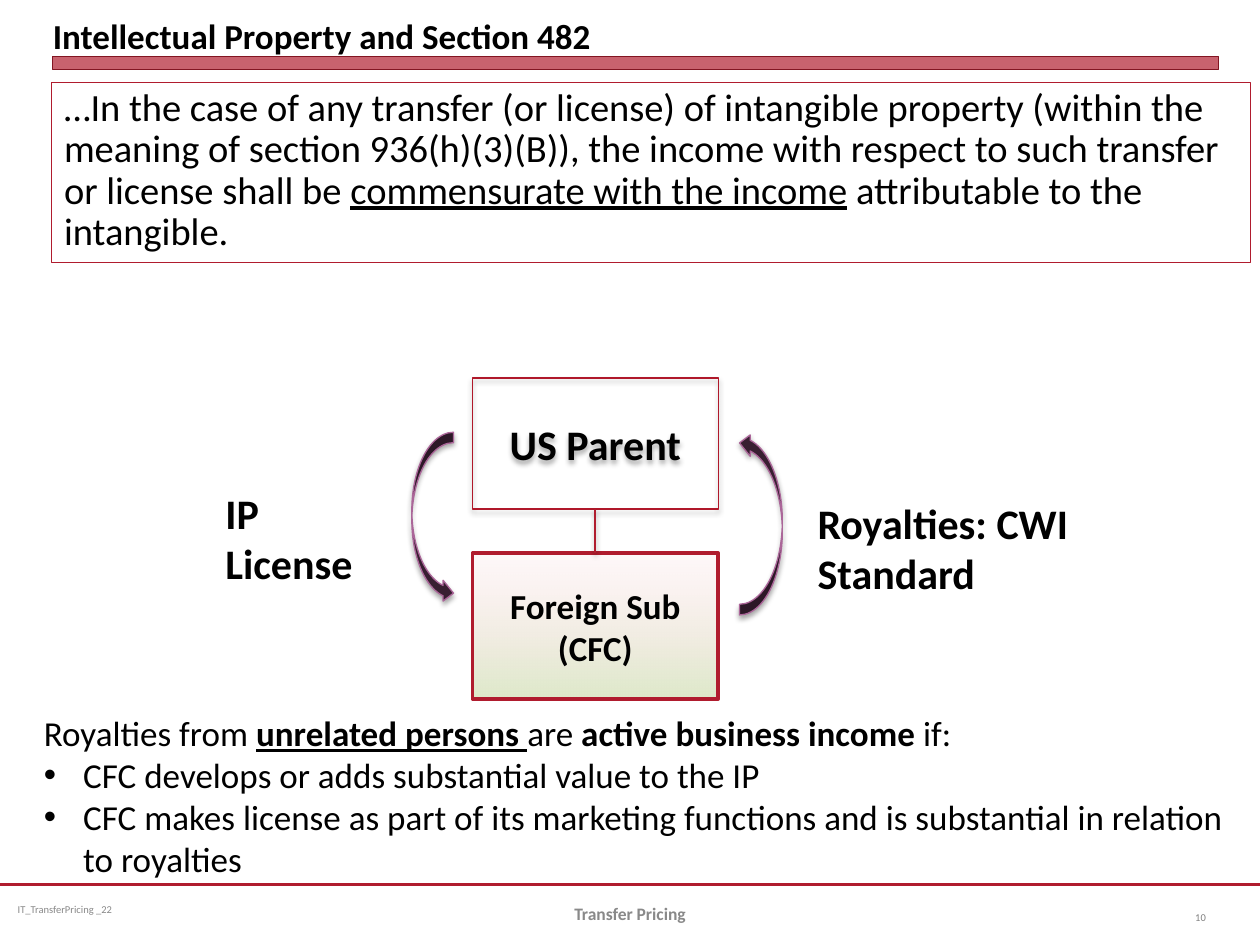
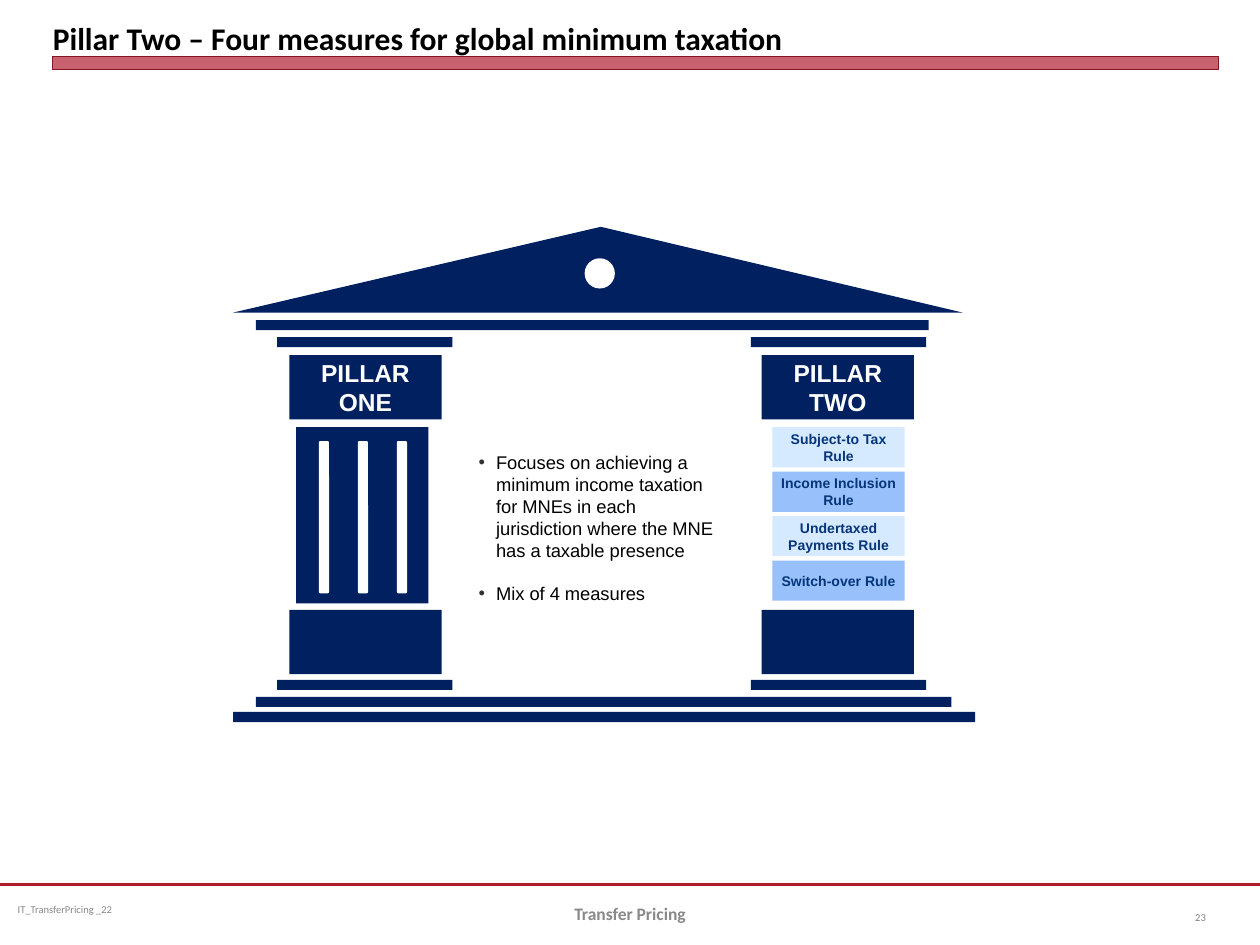
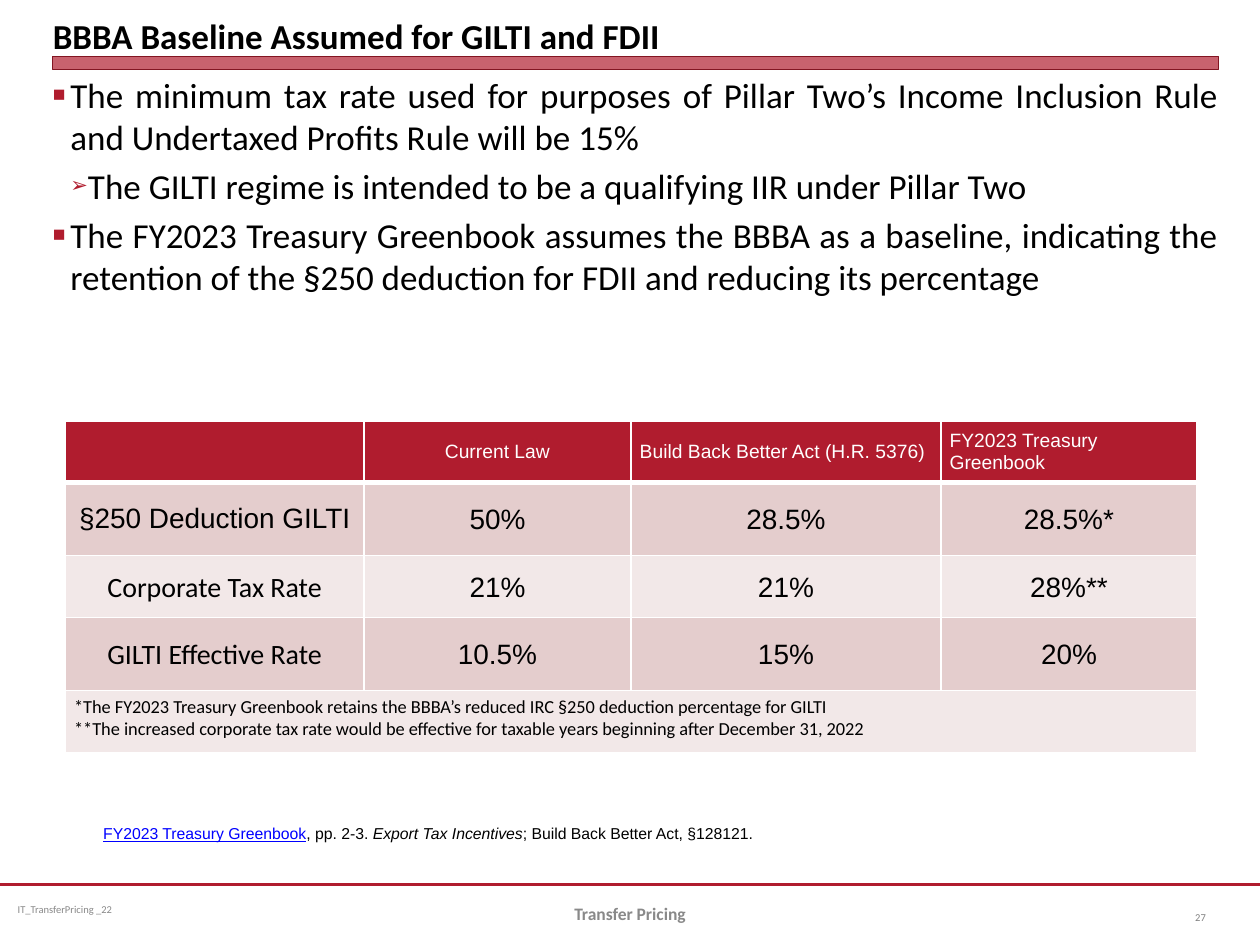
import dataclasses

import lxml.etree
import pptx
import pptx.dml.color
import pptx.enum.shapes
import pptx.enum.text
import pptx.oxml.ns
import pptx.util

SHAPE = pptx.enum.shapes.MSO_SHAPE
ALIGN = pptx.enum.text.PP_ALIGN
ANCHOR = pptx.enum.text.MSO_ANCHOR
LEFT, MID, RIGHT, FULL = ALIGN.LEFT, ALIGN.CENTER, ALIGN.RIGHT, ALIGN.JUSTIFY


@dataclasses.dataclass(frozen=True)
class Type:
    face: str
    size: float
    color: str = "000000"
    marks: str = ""  # b bold, i italic, u underline


@dataclasses.dataclass(frozen=True)
class Bullet:
    sign: str
    left: float
    hang: float
    color: str = ""
    scale: int = 100
    level: int = 0


@dataclasses.dataclass(frozen=True)
class Theme:
    # Colours
    red: str = "B01C2E"
    edge: str = "821522"
    frame: str = "B0182A"
    plum: str = "381F31"
    mauve: str = "AB6699"
    green: str = "DEE9C9"
    pink: str = "FADDE0"
    navy: str = "002060"
    white: str = "FFFFFF"
    rules: tuple = ("D6EAFF", "98C0FA")
    rows: tuple = ("E4CDCD", "F2E8E8")
    # Type
    title: Type = Type("Calibri", 20, marks="b")
    long: Type = Type("Calibri", 18, marks="b")
    body: Type = Type("Calibri", 20)
    quote: Type = Type("Calibri", 22)
    label: Type = Type("Calibri", 24, marks="b")
    code: Type = Type("Calibri", 6, "898989")
    foot: Type = Type("Calibri", 10, "898989", "b")
    page: Type = Type("Calibri", 6, "808080")
    pillar: Type = Type("Arial", 14, "FFFFFF", "b")
    rule: Type = Type("Arial", 8, "06357A", "b")
    point: Type = Type("Arial", 10.5)
    head: Type = Type("Arial", 11, "FFFFFF")
    value: Type = Type("Arial", 16)
    name: Type = Type("Calibri", 16)
    note: Type = Type("Calibri", 10.5)
    source: Type = Type("Arial", 9)
    link: str = "0000FF"
    # Bullets
    dot: Bullet = Bullet("•", 22.5, 22.5)
    small: Bullet = Bullet("•", 10, 10, "333333")
    square: Bullet = Bullet("■", 10, 10, "B01C2E", 60)
    arrow: Bullet = Bullet("➢", 20, 10, "B01C2E", 60, 1)


THEME = Theme()


# XML helpers
def tag(name):
    return pptx.oxml.ns.qn("a:" + name)


def sub(node, name, **attrs):
    return lxml.etree.SubElement(node, tag(name), **attrs)


def fade(node, percent):
    sub(node, "alpha", val=str(percent * 1000))


def shade(shape, percent=0, blur=3.1, drop=1.8):
    """Replace the theme shadow by a soft one below, or by none."""
    props = shape._element.spPr
    effect = props.find(tag("effectLst"))
    if effect is None:
        effect = sub(props, "effectLst")
    if percent:
        outer = sub(effect, "outerShdw", blurRad=str(pptx.util.Pt(blur)),
                    dist=str(pptx.util.Pt(drop)), dir="5400000", rotWithShape="0")
        fade(sub(outer, "srgbClr", val="000000"), percent)


# Basic helpers
def rgb(color):
    return pptx.dml.color.RGBColor.from_string(color)


def place(at):
    return [pptx.util.Pt(length) for length in at]


def stroke(shape, color, width):
    shape.line.color.rgb = rgb(color)
    shape.line.width = pptx.util.Pt(width)


def mark(para, bullet):
    props = para._p.get_or_add_pPr()
    props.set("marL", str(pptx.util.Pt(bullet.left)))
    props.set("indent", str(-pptx.util.Pt(bullet.hang)))
    para.level = bullet.level
    if bullet.color:
        sub(sub(props, "buClr"), "srgbClr", val=bullet.color)
    sub(props, "buSzPct", val=str(bullet.scale * 1000))
    sub(props, "buFont", typeface="Arial")
    sub(props, "buChar", char=bullet.sign)


def write(frame, paras, style, align=LEFT, bullets=(), gap=0, space=None):
    """Each paragraph is a string or a list of (text, marks, colour) runs."""
    for row, runs in enumerate(paras):
        para = frame.add_paragraph() if row else frame.paragraphs[0]
        if bullets and bullets[row]:
            mark(para, bullets[row])
        para.alignment = align
        para.space_before = pptx.util.Pt(gap if row else 0)
        if space:
            para.line_spacing = space
        if isinstance(runs, str):
            runs = [(runs, style.marks, style.color)]
        for text, marks, color in runs:
            run = para.add_run()
            run.text = text
            font = run.font
            font.name, font.size = style.face, pptx.util.Pt(style.size)
            font.color.rgb = rgb(color)
            font.bold, font.italic = "b" in marks, "i" in marks
            font.underline = "u" in marks


def pad(item, across, down):
    item.margin_left = item.margin_right = pptx.util.Pt(across)
    item.margin_top = item.margin_bottom = pptx.util.Pt(down)


def fit(frame, anchor, across, down):
    frame.word_wrap = True
    frame.auto_size = pptx.enum.text.MSO_AUTO_SIZE.NONE
    frame.vertical_anchor = anchor
    pad(frame, across, down)
    return frame


def note(slide, at, paras, style, anchor=ANCHOR.TOP, across=7.2, down=3.6, **look):
    shape = slide.shapes.add_textbox(*place(at))
    write(fit(shape.text_frame, anchor, across, down), paras, style, **look)


def block(slide, at, fill=None, kind=SHAPE.RECTANGLE, line=None, paras=(),
          style=None, anchor=ANCHOR.MIDDLE, across=7.2, down=3.6, **look):
    shape = slide.shapes.add_shape(kind, *place(at))
    shape.shadow.inherit = False
    if fill:
        shape.fill.solid()
        shape.fill.fore_color.rgb = rgb(fill)
    else:
        shape.fill.background()
    if line:
        stroke(shape, *line)
    else:
        shape.line.fill.background()
    if paras:
        write(fit(shape.text_frame, anchor, across, down), paras, style, **look)
    return shape


def link(slide, ends, color, width):
    line = slide.shapes.add_connector(
        pptx.enum.shapes.MSO_CONNECTOR.STRAIGHT, *place(ends))
    stroke(line, color, width)
    return line


def start(deck, title, page, style=THEME.title):
    """Add a slide with its title, band and footer."""
    slide = deck.slides.add_slide(deck.slide_layouts[5])
    shade(link(slide, (0, 505.5, 720, 505.5), THEME.red, 1.25))
    note(slide, (5.8, 505.5, 186, 28.8), ["IT_TransferPricing _22"], THEME.code,
         ANCHOR.MIDDLE, 4.3, 2.2)
    band = block(slide, (30.2, 32.4, 666, 7.2), THEME.red, line=(THEME.edge, 0))
    fade(band._element.spPr.find(tag("solidFill")).find(tag("srgbClr")), 69)
    head = slide.shapes.title
    head.left, head.top, head.width, head.height = place((30.2, 3.6, 666, 28.8))
    write(fit(head.text_frame, ANCHOR.BOTTOM, 0, 0), [title], style)
    note(slide, (246, 507.6, 228, 28.8), ["Transfer Pricing"], THEME.foot,
         ANCHOR.MIDDLE, align=MID)
    note(slide, (660.2, 509.8, 36, 28.8), [page], THEME.page, ANCHOR.MIDDLE,
         align=RIGHT)
    return slide


# Slide on section 482
def bend(slide, at, flip):
    arrow = block(slide, at, THEME.plum, SHAPE.CURVED_LEFT_ARROW,
                  (THEME.mauve, 0.75))
    arrow._element.spPr.find(tag("xfrm")).set(flip, "1")
    shade(arrow, 35)


def draw_license(deck):
    slide = start(deck, "Intellectual Property and Section 482", "10")
    black = THEME.body.color
    block(slide, (29.5, 46.8, 684.7, 103), line=(THEME.red, 0.25), paras=[[
        ("…In the case of any transfer (or license) of intangible property (within "
         "the meaning of section 936(h)(3)(B)), the income with respect to such "
         "transfer or license shall be ", "", black),
        ("commensurate with the income", "u", black),
        (" attributable to the intangible.", "", black)]],
        style=THEME.quote, anchor=ANCHOR.TOP, space=0.9)

    # Parent and subsidiary
    parent = block(slide, (270, 216, 140.4, 74.9), line=(THEME.frame, 0.75),
                   paras=["US Parent"], style=THEME.label, align=MID)
    shade(parent, 35)
    child = block(slide, (270, 316.1, 140.4, 83.5), line=(THEME.red, 2),
                  paras=["Foreign Sub", "(CFC)"], style=THEME.title, align=MID)
    child.fill.gradient()
    child.fill.gradient_angle = 90
    for stop, color in zip(child.fill.gradient_stops, (THEME.green, THEME.pink)):
        stop.color.rgb = rgb(color)
    grad = child._element.spPr.find(tag("gradFill"))
    fade(list(grad.iter(tag("srgbClr")))[1], 19)
    tie = link(slide, (340.2, 290.9, 340.2, 316.1), THEME.red, 1)
    tie.begin_connect(parent, 2)
    tie.end_connect(child, 0)
    shade(tie, 38, drop=1.6)

    # Flows
    bend(slide, (235.4, 247, 23.8, 97.9), "flipH")
    bend(slide, (422.6, 247, 24.5, 104.4), "flipV")
    note(slide, (121.7, 275, 87.8, 28.8), ["IP License"], THEME.label)
    note(slide, (460.1, 280.8, 203, 28.8), ["Royalties: CWI Standard"], THEME.label)

    note(slide, (18, 403.2, 695.5, 104.4), [
        [("Royalties from ", "", black), ("unrelated persons ", "bu", black),
         ("are ", "", black), ("active business income ", "b", black),
         ("if:", "", black)],
        "CFC develops or adds substantial value to the IP",
        "CFC makes license as part of its marketing functions and is substantial "
        "in relation to royalties"],
        THEME.body, bullets=(None, THEME.dot, THEME.dot))


# Slide on the pillars
def draw_temple(deck):
    slide = start(deck, "Pillar Two – Four measures for global minimum taxation",
                  "23", THEME.long)
    navy, white, thin = THEME.navy, THEME.white, 5.8
    block(slide, (266.4, 250.6, 149, 100.8), white, SHAPE.ROUNDED_RECTANGLE, paras=[
        "Focuses on achieving a minimum income taxation for MNEs in each "
        "jurisdiction where the MNE has a taxable presence",
        "Mix of 4 measures"], style=THEME.point, anchor=ANCHOR.TOP,
        across=2.2, down=2.2, bullets=(THEME.small,) * 2, gap=12)

    # Roof and steps
    roof = block(slide, (133.2, 129.6, 416.9, 49), navy, SHAPE.ISOSCELES_TRIANGLE)
    roof.adjustments[0] = 0.504
    block(slide, (334.1, 147.6, 17.3, 17.3), white, SHAPE.OVAL)
    for left, top, width in ((146.2, 182.9, 384.5), (146.2, 398.2, 397.4),
                             (133.2, 406.8, 424.1)):
        block(slide, (left, top, width, thin), navy)

    # Caps, name blocks and bases
    for text, cap, left in (("PILLAR ONE", 158.4, 165.3),
                            ("PILLAR TWO", 429.1, 435.2)):
        for top in (192.6, 388.5):
            block(slide, (cap, top, 100.1, thin), navy)
        block(slide, (left, 203, 87.1, 36.7), navy, paras=[text],
              style=THEME.pillar, align=MID, across=4.3, down=4.3)
        block(slide, (left, 348.5, 87.1, 36.7), navy)

    # Fluted shaft
    block(slide, (169.2, 244.1, 75.6, 100.8), navy)
    for step in range(3):
        block(slide, (182.2 + 22.3 * step, 252, thin, 87.1), white,
              SHAPE.ROUNDED_RECTANGLE)

    # Shaft of rules
    for step, text in enumerate(("Subject-to Tax Rule", "Income Inclusion Rule",
                                 "Undertaxed Payments Rule", "Switch-over Rule")):
        block(slide, (441.4, 244.1 + 25.4 * step, 75.6, 23), THEME.rules[step % 2],
              paras=[text], style=THEME.rule, align=MID, across=4.3, down=4.3)


# Slide on the baseline
def paint(cell, fill, base=1):
    props = cell._tc.get_or_add_tcPr()
    for side, width in (("lnL", 1), ("lnR", 1), ("lnT", 1), ("lnB", base)):
        line = sub(props, side, w=str(pptx.util.Pt(width)))
        sub(sub(line, "solidFill"), "srgbClr", val=THEME.white)
    cell.fill.solid()
    cell.fill.fore_color.rgb = rgb(fill)


def draw_rates(slide):
    heads = ("", "Current Law", "Build Back Better Act (H.R. 5376)",
             "FY2023 Treasury Greenbook")
    rates = (("§250 Deduction GILTI", "50%", "28.5%", "28.5%*"),
             ("Corporate Tax Rate", "21%", "21%", "28%**"),
             ("GILTI Effective Rate", "10.5%", "15%", "20%"))
    widths = (170.6, 152.6, 177.1, 146.4)
    heights = (35.3, 41.8, 35.3, 41.8, 35.3)
    table = slide.shapes.add_table(
        len(heights), len(widths),
        *place((37.4, 240.5, sum(widths), sum(heights)))).table
    table.first_row = table.horz_banding = False
    for column, width in zip(table.columns, widths):
        column.width = pptx.util.Pt(width)
    for row, height in zip(table.rows, heights):
        row.height = pptx.util.Pt(height)

    # Header
    for col, text in enumerate(heads):
        cell = table.cell(0, col)
        paint(cell, THEME.red, 3)
        pad(cell, 5, 2.9)
        cell.vertical_anchor = ANCHOR.MIDDLE
        if text:
            write(cell.text_frame, [text], THEME.head, MID if col == 1 else LEFT)

    # Rates
    for row, texts in enumerate(rates):
        for col, text in enumerate(texts):
            cell = table.cell(row + 1, col)
            paint(cell, THEME.rows[row % 2])
            pad(cell, 4.3, 0)
            cell.vertical_anchor = ANCHOR.MIDDLE
            first = row == col == 0
            write(cell.text_frame, [text],
                  THEME.value if col or first else THEME.name, MID,
                  space=None if first else 1.07)

    # Notes row
    for col in range(len(widths)):
        paint(table.cell(4, col), THEME.rows[1])
    cell = table.cell(4, 0)
    cell.merge(table.cell(4, len(widths) - 1))
    pad(cell, 5, 2.9)
    write(cell.text_frame, [
        "*The FY2023 Treasury Greenbook retains the BBBA’s reduced IRC §250 "
        "deduction percentage for GILTI",
        "**The increased corporate tax rate would be effective for taxable years "
        "beginning after December 31, 2022"], THEME.note)


def draw_base(deck):
    slide = start(deck, "BBBA Baseline Assumed for GILTI and FDII", "27")
    note(slide, (30.2, 41.8, 666, 180), [
        "The minimum tax rate used for purposes of Pillar Two’s Income Inclusion "
        "Rule and Undertaxed Profits Rule will be 15%",
        "The GILTI regime is intended to be a qualifying IIR under Pillar Two",
        "The FY2023 Treasury Greenbook assumes the BBBA as a baseline, indicating "
        "the retention of the §250 deduction for FDII and reducing its percentage"],
        THEME.body, across=0, down=0, align=FULL, gap=4,
        bullets=(THEME.square, THEME.arrow, THEME.square))
    draw_rates(slide)
    black = THEME.source.color
    note(slide, (54, 468, 493.9, 16.6), [[
        ("FY2023 Treasury Greenbook", "u", THEME.link), (", pp. 2-3. ", "", black),
        ("Export Tax Incentives", "i", black),
        ("; Build Back Better Act, §128121.", "", black)]],
        THEME.source, across=5, down=2.9)


def main():
    deck = pptx.Presentation()
    deck.slide_width, deck.slide_height = place((720, 540))
    draw_license(deck)
    draw_temple(deck)
    draw_base(deck)
    deck.save("out.pptx")


if __name__ == "__main__":
    main()
